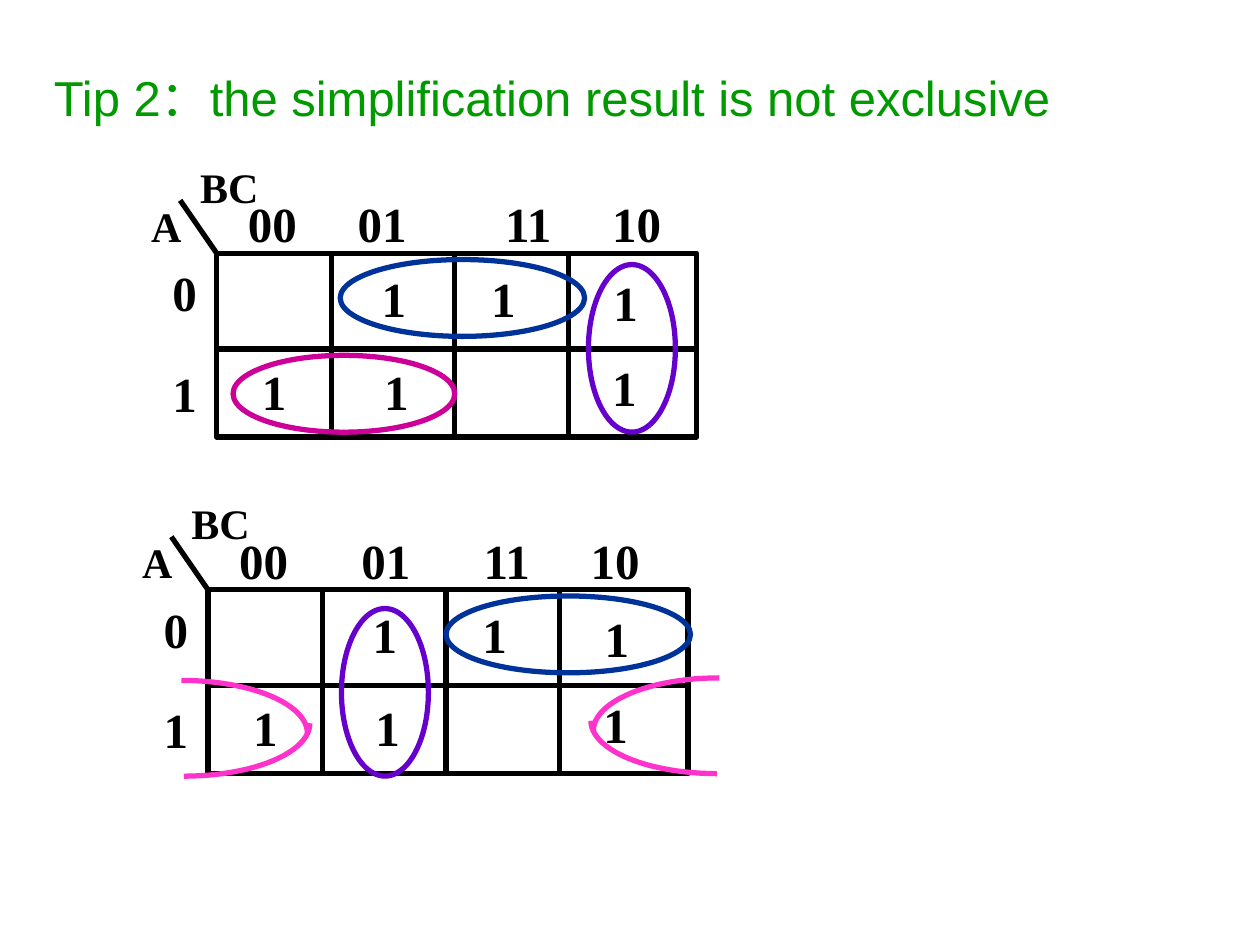
import math

import pptx
import pptx.dml.color
import pptx.enum.shapes
import pptx.oxml
import pptx.oxml.ns
import pptx.util

Inches, Pt = pptx.util.Inches, pptx.util.Pt
RGBColor = pptx.dml.color.RGBColor
SHAPE = pptx.enum.shapes.MSO_SHAPE
CONNECTOR = pptx.enum.shapes.MSO_CONNECTOR

BLACK = RGBColor(0x00, 0x00, 0x00)
GREEN = RGBColor(0x00, 0x99, 0x00)
MAGENTA = RGBColor(0xCC, 0x00, 0x99)
BLUE = RGBColor(0x00, 0x33, 0x99)
PURPLE = RGBColor(0x66, 0x00, 0xCC)
PINK = RGBColor(0xFF, 0x33, 0xCC)

SERIF = "Times New Roman"
TITLE = "Tip 2：the simplification result is not exclusive"

# Map geometry, measured from the map's top-left corner
MAP_W, MAP_H, ROW_Y, COLUMN_OVERHANG = 3.81, 1.46, 0.76, 0.02
COLUMN_XS = (0.91, 1.89, 2.79)
WIDE, TALL = (1.94, 0.61), (0.69, 1.33)

# Text: left, top, width, height, size, tab stops
MAP_TEXTS = [
    ("A", -0.62, -0.47, 0.51, 0.5, 24, ()),
    ("BC", -0.23, -0.78, 0.79, 0.5, 24, ()),
    ("1\t1", 0.26, 0.81, 1.58, 0.57, 28, (0.97,)),
    ("1\t1", 1.21, 0.07, 2.03, 0.57, 28, (0.87,)),
    ("1", 3.05, 0.1, 0.47, 0.57, 28, ()),
    ("1", 3.04, 0.78, 0.47, 0.57, 28, ()),
]
# Map corner, tab stops of the column codes, loops (left, top, size, colour)
MAPS = [
    ((1.72, 2.01), (0.87, 2.04, 2.89), [
        (1.85, 2.82, (1.76, 0.61), MAGENTA),
        (2.7, 2.06, WIDE, BLUE),
        (4.67, 2.1, TALL, PURPLE),
    ]),
    ((1.65, 4.68), (0.97, 1.94, 2.79), [
        (3.54, 4.73, WIDE, BLUE),
        (2.71, 4.83, TALL, PURPLE),
    ]),
]
# Quarter arcs of the wrap-around loop: centre, direction in x and y
ARC_RX, ARC_RY, ARC_STEPS = 1, 0.42, 24
ARCS = [(1.44, 5.82, 1, -1), (1.46, 5.74, 1, 1),
        (5.71, 5.8, -1, -1), (5.69, 5.72, -1, 1)]


def style_outline(s, color):
    s.shadow.inherit = False
    s.fill.background()
    s.line.color.rgb = color
    s.line.width = Pt(3)


def add_outline(shapes, kind, x, y, w, h, color):
    s = shapes.add_shape(kind, Inches(x), Inches(y), Inches(w), Inches(h))
    style_outline(s, color)


def add_line(shapes, x1, y1, x2, y2):
    s = shapes.add_connector(CONNECTOR.STRAIGHT, Inches(x1), Inches(y1),
                             Inches(x2), Inches(y2))
    s.line.color.rgb = BLACK
    s.line.width = Pt(3)
    pptx.oxml.ns.qn("a:effectLst")
    s._element.spPr.append(pptx.oxml.parse_xml(
        "<a:effectLst %s/>" % pptx.oxml.ns.nsdecls("a")))


def add_run(p, text, size, font=SERIF, color=BLACK, bold=True):
    r = p.add_run()
    r.text = text
    r.font.name, r.font.size = font, Pt(size)
    r.font.bold, r.font.color.rgb = bold, color


def add_box(shapes, x, y, w, h):
    tf = shapes.add_textbox(Inches(x), Inches(y), Inches(w), Inches(h)).text_frame
    tf.word_wrap = True
    return tf


def set_tabs(p, stops):
    tabs = "".join('<a:tab pos="%d" algn="l"/>' % Inches(t) for t in stops)
    p._p.get_or_add_pPr().append(pptx.oxml.parse_xml(
        "<a:tabLst %s>%s</a:tabLst>" % (pptx.oxml.ns.nsdecls("a"), tabs)))


def add_map(shapes, x, y, code_tabs):
    """Draw one Karnaugh map with its labels and cell values."""
    for dx in COLUMN_XS:
        add_line(shapes, x + dx, y, x + dx, y + MAP_H + COLUMN_OVERHANG)
    add_line(shapes, x, y + ROW_Y, x + MAP_W, y + ROW_Y)
    add_outline(shapes, SHAPE.RECTANGLE, x, y, MAP_W, MAP_H, BLACK)
    add_line(shapes, x, y, x - 0.29, y - 0.42)

    codes = ("00\t01\t11\t10", 0.15, -0.52, 4.54, 0.57, 28, code_tabs)
    for text, dx, dy, w, h, size, stops in MAP_TEXTS + [codes]:
        p = add_box(shapes, x + dx, y + dy, w, h).paragraphs[0]
        if stops:
            set_tabs(p, stops)
        add_run(p, text, size)

    tf = add_box(shapes, x - 0.45, y + 0.21, 0.49, 1.2)
    p = tf.paragraphs[0]
    p.line_spacing = 0.55
    add_run(p, "0", 28)
    p = tf.add_paragraph()
    p.line_spacing, p.space_before = 0.4, Pt(43)
    add_run(p, "1", 28)


def add_quarter_arc(shapes, cx, cy, sx, sy):
    angles = [math.pi / 2 * i / ARC_STEPS for i in range(ARC_STEPS + 1)]
    points = [(Inches(cx + sx * ARC_RX * math.sin(a)),
               Inches(cy + sy * ARC_RY * math.cos(a))) for a in angles]
    builder = shapes.build_freeform(*points[0])
    builder.add_line_segments(points[1:], close=False)
    style_outline(builder.convert_to_shape(), PINK)


def main():
    prs = pptx.Presentation()
    prs.slide_width, prs.slide_height = Inches(10), Inches(7.5)
    shapes = prs.slides.add_slide(prs.slide_layouts[6]).shapes

    p = add_box(shapes, 0.33, 0.49, 9.67, 0.57).paragraphs[0]
    add_run(p, TITLE, 28, "Arial", GREEN, False)

    for (x, y), code_tabs, loops in MAPS:
        add_map(shapes.add_group_shape().shapes, x, y, code_tabs)
        for left, top, (w, h), color in loops:
            add_outline(shapes, SHAPE.OVAL, left, top, w, h, color)

    wrap_loop = shapes.add_group_shape().shapes
    for arc in ARCS:
        add_quarter_arc(wrap_loop, *arc)

    prs.save("out.pptx")


if __name__ == "__main__":
    main()
